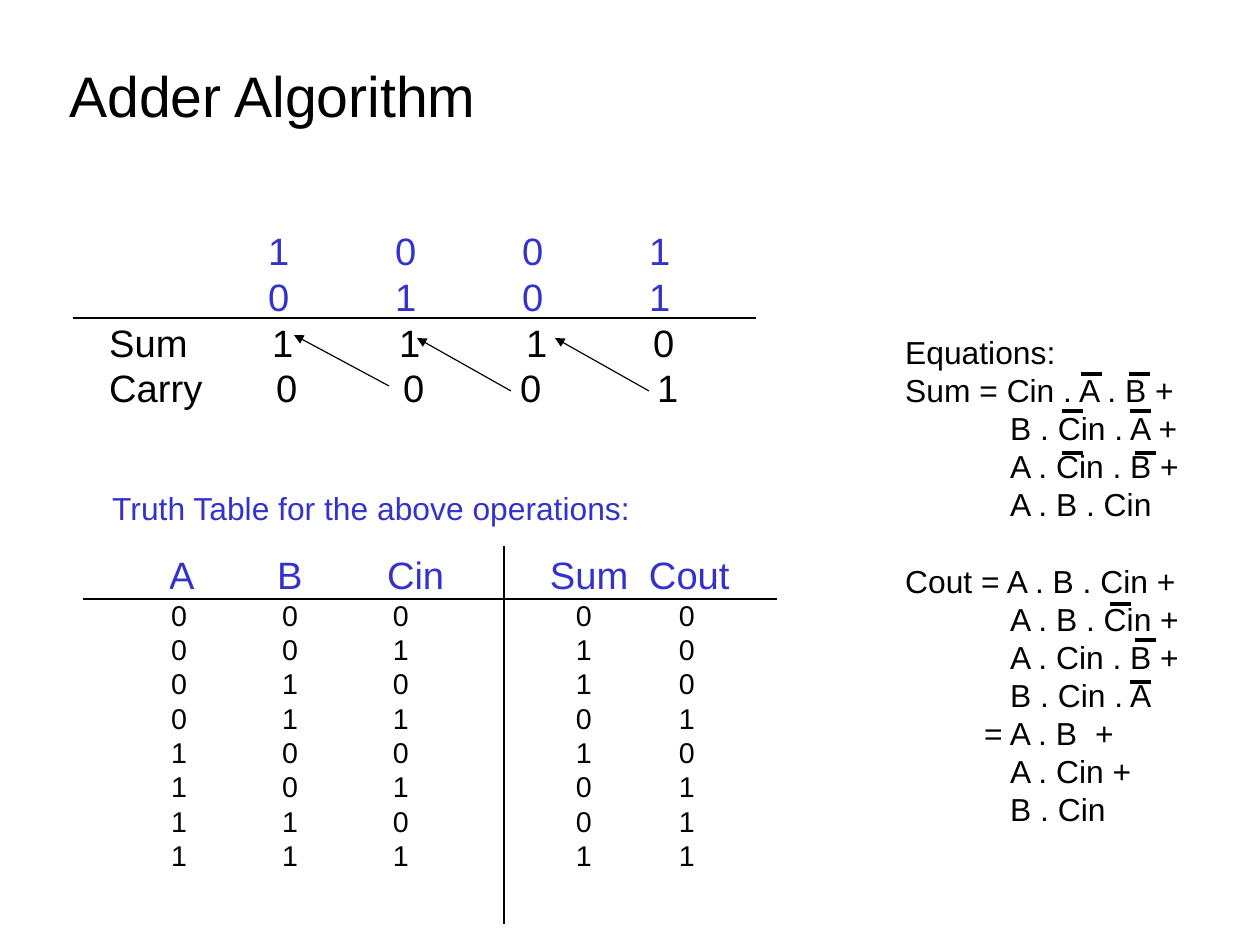
from lxml import etree
from pptx import Presentation
from pptx.dml.color import RGBColor
from pptx.enum.shapes import MSO_CONNECTOR
from pptx.oxml.ns import qn
from pptx.util import Pt

STRAIGHT = MSO_CONNECTOR.STRAIGHT
PX = 8000
FONT = "Arial"
LINE_RATIO = 1.2
COLORS = {"ink": "000000", "accent": "3333CC"}

TITLE = [("Adder Algorithm", "ink", ())]
TABLE_CAPTION = [("Truth Table for the above operations:", "accent", ())]

BIT_PITCH = 127
OPERAND_STOPS = [159 + BIT_PITCH * i for i in range(4)]
SUM_STOPS = [163 + BIT_PITCH * i for i in range(4)]
CARRY_STOPS = (167, 294, 411, 548)
ADDITION = [
    ("\t1\t0\t0\t1", "accent", OPERAND_STOPS),
    ("\t0\t1\t0\t1", "accent", OPERAND_STOPS),
    ("Sum\t1\t1\t1\t0", "ink", SUM_STOPS),
    ("Carry\t0\t0\t0\t1", "ink", CARRY_STOPS),
]

TERM_STOP = (105,)
SUM_EQUATION = [
    ("Equations:", "ink", ()),
    ("Sum = Cin . A . B +", "ink", ()),
    ("\tB . Cin . A +", "ink", TERM_STOP),
    ("\tA . Cin . B +", "ink", TERM_STOP),
    ("\tA . B . Cin", "ink", TERM_STOP),
]
COUT_EQUATION = [
    ("Cout = A . B . Cin +", "ink", ()),
    ("\tA . B . Cin +", "ink", TERM_STOP),
    ("\tA . Cin . B +", "ink", TERM_STOP),
    ("\tB . Cin . A", "ink", TERM_STOP),
    ("\t= A . B\t+", "ink", (79, 190)),
    ("\tA . Cin +", "ink", TERM_STOP),
    ("\tB . Cin", "ink", TERM_STOP),
]

TRUTH_COLUMNS = [
    ("A", 169, 2),
    ("B", 277, 5),
    ("Cin", 387, 6),
    ("Sum", 550, 26),
    ("Cout", 649, 30),
]
TRUTH_ROWS = ["00000", "00110", "01010", "01101", "10010", "10101", "11001", "11111"]
TRUTH_TOP, TRUTH_RIGHT = 552, 740
HEADER_HEIGHT, BODY_HEIGHT = 46, 275

RULES = [(83, 599, 777, 599), (504, 546, 504, 924), (73, 318, 756, 318)]
CARRY_ARROWS = [(649, 391, 555, 338), (511, 391, 417, 338), (389, 386, 294, 335)]
OVERLINE_WIDTH = 21
OVERLINES = {
    374: (1081, 1129),
    411: (1062, 1130),
    453: (1062, 1135),
    604: (1110,),
    640: (1135,),
    682: (1130,),
}


def style(paragraph, size, color):
    paragraph.line_spacing = Pt(size * LINE_RATIO)
    paragraph.font.name = FONT
    paragraph.font.size = Pt(size)
    paragraph.font.color.rgb = RGBColor.from_string(COLORS[color])


def add_text(slide, box, lines, size, gap_before=None):
    frame = slide.shapes.add_textbox(*(v * PX for v in box)).text_frame
    frame.word_wrap = True
    for i, (text, color, stops) in enumerate(lines):
        paragraph = frame.add_paragraph() if i else frame.paragraphs[0]
        paragraph.text = text
        if stops:
            tabs = etree.SubElement(paragraph._p.get_or_add_pPr(), qn("a:tabLst"))
            for stop in stops:
                etree.SubElement(tabs, qn("a:tab"), pos=str(stop * PX), algn="l")
        style(paragraph, size, color)
        if i == gap_before:
            paragraph.space_before = Pt(size * LINE_RATIO)


def add_line(slide, ends, width, arrow=False):
    line = slide.shapes.add_connector(STRAIGHT, *(v * PX for v in ends))
    line.line.color.rgb = RGBColor.from_string(COLORS["ink"])
    line.line.width = Pt(width)
    if arrow:
        etree.SubElement(line.line._get_or_add_ln(), qn("a:tailEnd"), type="triangle")
    etree.SubElement(line._element.spPr, qn("a:effectLst"))


def add_truth_table(slide):
    lefts = [left for _, left, _ in TRUTH_COLUMNS]
    rights = lefts[1:] + [TRUTH_RIGHT]
    table = slide.shapes.add_table(
        len(TRUTH_ROWS) + 1, len(TRUTH_COLUMNS), lefts[0] * PX, TRUTH_TOP * PX,
        (TRUTH_RIGHT - lefts[0]) * PX, (HEADER_HEIGHT + BODY_HEIGHT) * PX).table
    table.first_row = table.horz_banding = False
    for column, left, right in zip(table.columns, lefts, rights):
        column.width = (right - left) * PX
    headers = [header for header, _, _ in TRUTH_COLUMNS]
    for r, values in enumerate([headers, *TRUTH_ROWS]):
        table.rows[r].height = BODY_HEIGHT * PX // len(TRUTH_ROWS) if r else HEADER_HEIGHT * PX
        for c, value in enumerate(values):
            cell = table.cell(r, c)
            cell.fill.background()
            cell.margin_left = TRUTH_COLUMNS[c][2] * PX if r else 0
            cell.margin_right = cell.margin_top = cell.margin_bottom = 0
            cell.text = value
            style(cell.text_frame.paragraphs[0], 18 if r else 24, "ink" if r else "accent")


def main():
    deck = Presentation()
    deck.slide_width, deck.slide_height = 1260 * PX, 945 * PX
    slide = deck.slides.add_slide(deck.slide_layouts[6])
    add_text(slide, (58, 55, 432, 80), TITLE, 36)
    add_truth_table(slide)
    add_text(slide, (101, 483, 546, 50), TABLE_CAPTION, 20)
    add_text(slide, (894, 327, 299, 507), SUM_EQUATION + COUT_EQUATION, 20,
             gap_before=len(SUM_EQUATION))
    add_text(slide, (98, 222, 594, 194), ADDITION, 24)
    for y, starts in OVERLINES.items():
        for x in starts:
            add_line(slide, (x, y, x + OVERLINE_WIDTH, y), 2.25)
    for ends in CARRY_ARROWS:
        add_line(slide, ends, 0.75, arrow=True)
    for ends in RULES:
        add_line(slide, ends, 0.75)
    deck.save("out.pptx")


if __name__ == "__main__":
    main()
